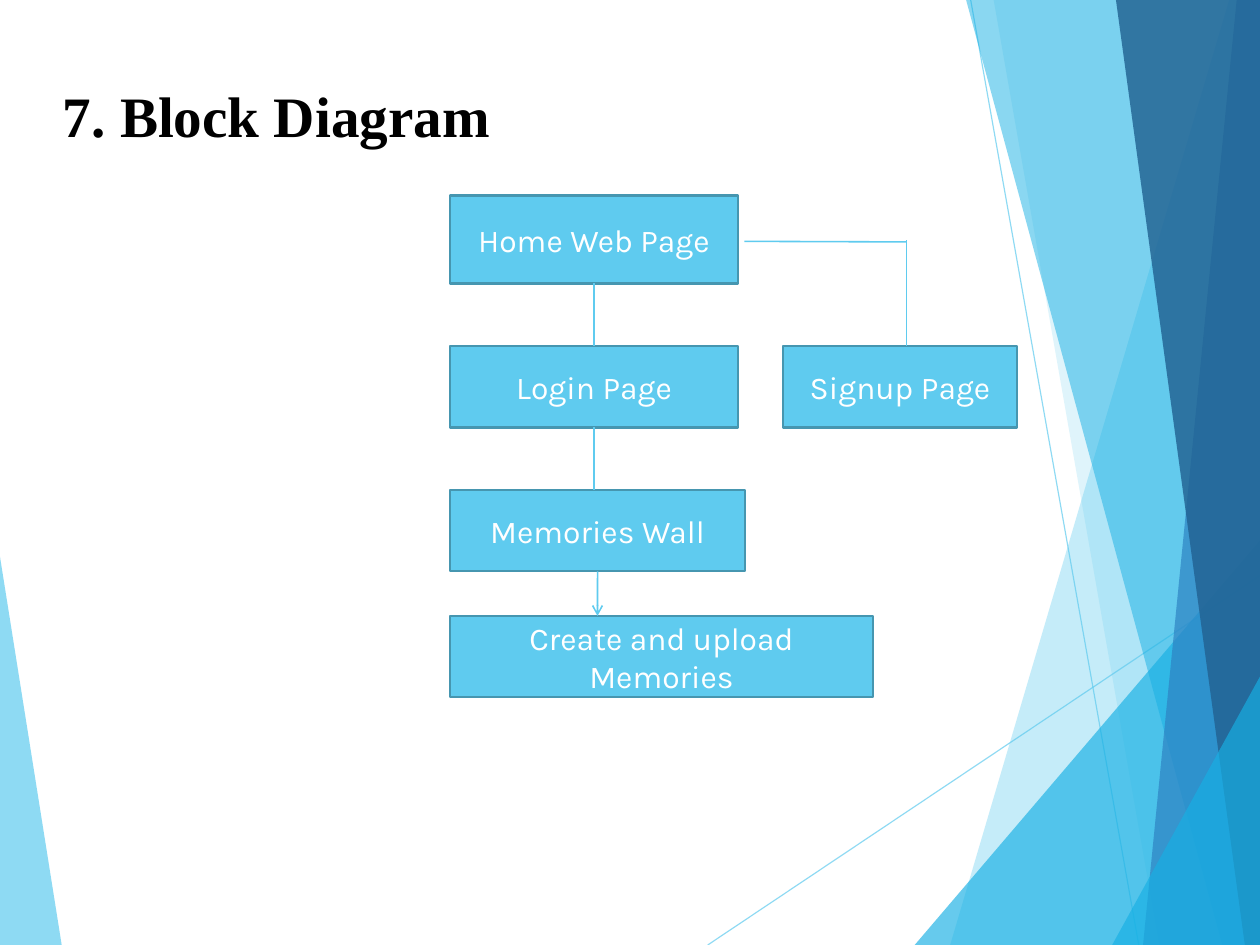
from lxml.etree import SubElement
from pptx import Presentation
from pptx.dml.color import RGBColor
from pptx.enum.shapes import MSO_CONNECTOR, MSO_SHAPE
from pptx.enum.text import MSO_ANCHOR, PP_ALIGN
from pptx.oxml.ns import qn
from pptx.util import Cm, Inches, Pt

COLORS = {
    "sky": "5FCBEF",
    "cyan": "17B0E4",
    "blue": "2E83C3",
    "navy": "226292",
    "border": "4696B0",
    "white": "FFFFFF",
    "black": "000000",
}

presentation = Presentation()
presentation.slide_width = Cm(28)
presentation.slide_height = Cm(21)
slide = presentation.slides.add_slide(presentation.slide_layouts[6])
column = presentation.slide_width / 100
row = presentation.slide_height / 100


def write_text(shape, text, font="Karla", size=20, color="white", bold=False,
               align=PP_ALIGN.CENTER, spacing=1.0, insets=(0.1, 0.05, 0.1, 0.05)):
    frame = shape.text_frame
    frame.word_wrap = True
    frame.vertical_anchor = MSO_ANCHOR.MIDDLE
    (frame.margin_left, frame.margin_top,
     frame.margin_right, frame.margin_bottom) = map(Inches, insets)
    paragraph = frame.paragraphs[0]
    paragraph.alignment = align
    paragraph.line_spacing = spacing
    run = paragraph.add_run()
    run.text = text
    run.font.name = font
    run.font.size = Pt(size)
    run.font.bold = bold
    run.font.color.rgb = RGBColor.from_string(COLORS[color])


def draw_line(start, end, width=1):
    connector = slide.shapes.add_connector(
        MSO_CONNECTOR.STRAIGHT,
        round(start[0] * column), round(start[1] * row),
        round(end[0] * column), round(end[1] * row))
    connector.line.color.rgb = RGBColor.from_string(COLORS["sky"])
    connector.line.width = Pt(width)
    SubElement(connector.element.spPr, qn("a:effectLst"))
    return connector


translucent = [
    (draw_line((56.17, 100), (100, 60.9), 0.75), 70),
    (draw_line((77.04, 0), (90.38, 100), 0.75), 70),
]

facets = [
    (0, 0, 58.9, 4.9, "sky", 70),
    (100, 97.55, 0, 75.41, "sky", 36),
    (100, 78.86, 0, 92.01, "sky", 20),
    (100, 100, 57.2, 72.6, "cyan", 66),
    (100, 76.68, 0, 97, "cyan", 50),
    (100, 98.15, 0, 90.72, "blue", 70),
    (100, 88.57, 0, 98.8, "navy", 82),
    (100, 100, 71.6, 88.27, "cyan", 66),
]
for edge, top_x, top_y, bottom_x, color, opacity in facets:
    corners = [(top_x, top_y), (bottom_x, 100), (edge, 100), (edge, top_y)]
    points = [(round(x * column), round(y * row)) for x, y in corners]
    builder = slide.shapes.build_freeform(*points[0])
    builder.add_line_segments(points[1:])
    facet = builder.convert_to_shape()
    facet.shadow.inherit = False
    facet.fill.solid()
    facet.fill.fore_color.rgb = RGBColor.from_string(COLORS[color])
    facet.line.fill.background()
    translucent.append((facet, opacity))

for shape, opacity in translucent:
    tint = next(shape.element.spPr.iter(qn("a:srgbClr")))
    SubElement(tint, qn("a:alpha"), val=str(opacity * 1000))

title = slide.shapes.add_textbox(
    round(5 * column), round(4 * row), round(90 * column), round(16.7 * row))
write_text(title, "7. Block Diagram", font="Times New Roman", size=36, color="black",
           bold=True, align=PP_ALIGN.LEFT, spacing=0.93, insets=(0, 0.03, 0, 0))

blocks = {}
for text, left, top, width, height in [
    ("Home Web Page", 35.72, 20.68, 22.86, 9.31),
    ("Login Page", 35.72, 36.64, 22.86, 8.59),
    ("Signup Page", 62.14, 36.64, 18.6, 8.59),
    ("Memories Wall", 35.72, 51.87, 23.41, 8.59),
    ("Create and upload Memories", 35.72, 65.18, 33.56, 8.59),
]:
    block = slide.shapes.add_shape(
        MSO_SHAPE.RECTANGLE, round(left * column), round(top * row),
        round(width * column), round(height * row))
    block.shadow.inherit = False
    block.fill.solid()
    block.fill.fore_color.rgb = RGBColor.from_string(COLORS["sky"])
    block.line.color.rgb = RGBColor.from_string(COLORS["border"])
    block.line.width = Pt(1.5)
    write_text(block, text)
    blocks[text] = block

home_to_login = draw_line((47.15, 29.99), (47.15, 36.64))
home_to_login.begin_connect(blocks["Home Web Page"], 2)
home_to_login.end_connect(blocks["Login Page"], 0)

login_to_wall = draw_line((47.15, 45.23), (47.15, 51.87))
login_to_wall.begin_connect(blocks["Login Page"], 2)

draw_line((59.07, 25.54), (71.94, 25.6))
draw_line((71.94, 25.4), (71.94, 36.64))

wall_to_upload = draw_line((47.42, 60.46), (47.42, 65.18))
wall_to_upload.begin_connect(blocks["Memories Wall"], 2)
SubElement(wall_to_upload.element.spPr.find(qn("a:ln")), qn("a:tailEnd"), type="arrow")

presentation.save("out.pptx")
